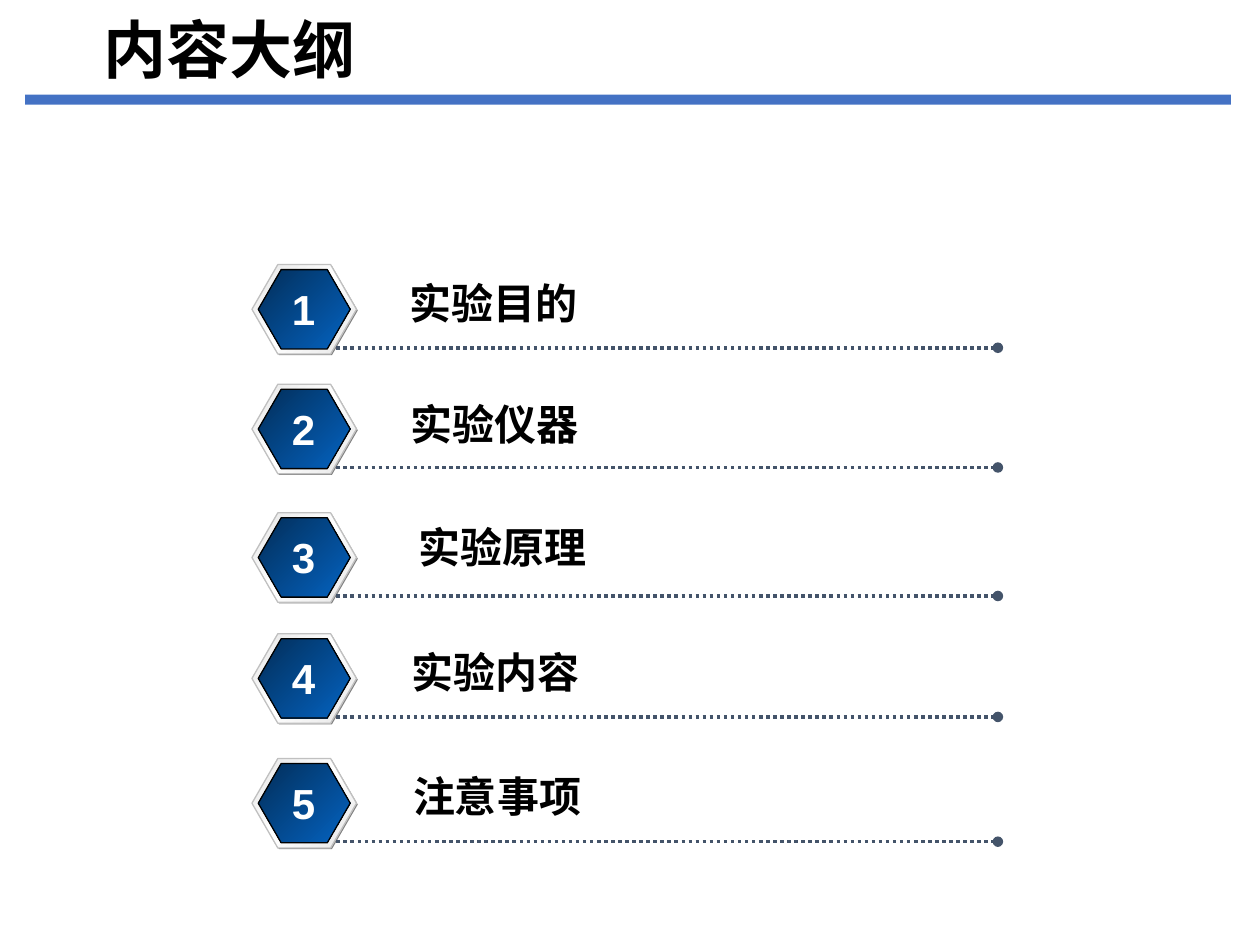
import copy

import pptx
import pptx.dml.color
import pptx.enum.dml
import pptx.enum.shapes
import pptx.enum.text
import pptx.oxml
import pptx.oxml.ns
import pptx.util

Inches = pptx.util.Inches
Pt = pptx.util.Pt
SHAPE = pptx.enum.shapes.MSO_SHAPE
ALIGN = pptx.enum.text.PP_ALIGN
qn = pptx.oxml.ns.qn

CJK_FONT = "Noto Sans CJK SC"
LATIN_FONT = "Arial"
BADGE_LEFT = 2.0

# Badge top, label, label left, label top, label font
OUTLINE = [
    (2.10, "实验目的", 3.15, 2.15, LATIN_FONT),
    (3.05, "实验仪器", 3.16, 3.11, CJK_FONT),
    (4.07, "实验原理", 3.22, 4.09, CJK_FONT),
    (5.03, "实验内容", 3.17, 5.08, LATIN_FONT),
    (6.02, "注意事项", 3.18, 6.07, LATIN_FONT),
]


def rgb(hex_colour):
    return pptx.dml.color.RGBColor.from_string(hex_colour)


def fill_shape(shape, colours):
    """Solid fill for one colour, evenly spaced diagonal gradient for more."""
    if len(colours) == 1:
        shape.fill.solid()
        shape.fill.fore_color.rgb = rgb(colours[0])
        return
    shape.fill.gradient()
    shape.fill.gradient_angle = 315
    stop_list = shape._element.spPr.find(".//" + qn("a:gsLst"))
    while len(stop_list) < len(colours):
        stop_list.append(copy.deepcopy(stop_list[0]))
    for i, (stop, colour) in enumerate(zip(shape.fill.gradient_stops, colours)):
        stop.position = i / (len(colours) - 1)
        stop.color.rgb = rgb(colour)


def add_filled(slide, preset, box, colours, outline=None):
    shape = slide.shapes.add_shape(preset, *map(Inches, box))
    shape.shadow.inherit = False
    fill_shape(shape, colours)
    if outline:
        shape.line.color.rgb = rgb(outline)
        shape.line.width = Pt(0.75)
    else:
        shape.line.fill.background()
    return shape


def write_text(frame, text, size, font, colour, align=ALIGN.LEFT, side_inset=0.1):
    frame.word_wrap = True
    frame.auto_size = pptx.enum.text.MSO_AUTO_SIZE.NONE
    frame.vertical_anchor = pptx.enum.text.MSO_ANCHOR.TOP
    frame.margin_left = frame.margin_right = Inches(side_inset)
    frame.margin_top = frame.margin_bottom = Inches(0.05)
    paragraph = frame.paragraphs[0]
    paragraph.alignment = align
    run = paragraph.add_run()
    run.text = text
    run.font.size = Pt(size)
    run.font.bold = True
    run.font.name = font
    run.font.color.rgb = rgb(colour)
    east_asian = pptx.oxml.parse_xml(
        f'<a:ea {pptx.oxml.ns.nsdecls("a")} typeface="{CJK_FONT}"/>')
    run.font._element.find(qn("a:latin")).addnext(east_asian)


def add_label(slide, box, *text_format):
    label = slide.shapes.add_textbox(*map(Inches, box))
    write_text(label.text_frame, *text_format)


def add_header(slide, left, top, width, height):
    title = slide.shapes.title
    title.left, title.top = Inches(left), Inches(top)
    title.width, title.height = Inches(width), Inches(height)
    write_text(title.text_frame, "内容大纲", 36, CJK_FONT, "000000")
    # Rule below the title
    add_filled(slide, SHAPE.RECTANGLE, (0.2, 0.75, 9.57, 0.08), ["4472C4"])


def add_dotted_line(slide, left, right, y):
    dotted = slide.shapes.add_connector(
        pptx.enum.shapes.MSO_CONNECTOR.STRAIGHT,
        Inches(left), Inches(y), Inches(right), Inches(y))
    dotted.line.color.rgb = rgb("44546A")
    dotted.line.width = Pt(2)
    dotted.line.dash_style = pptx.enum.dml.MSO_LINE.ROUND_DOT
    properties = dotted._element.spPr
    for parent, tag in ((properties.find(qn("a:ln")), 'tailEnd type="oval"'),
                        (properties, "effectLst")):
        parent.append(pptx.oxml.parse_xml(
            f'<a:{tag} {pptx.oxml.ns.nsdecls("a")}/>'))


def add_badge(slide, left, top, number):
    # Shadow, silver rim and blue face, from back to front
    layers = [
        ((left + 0.01, top + 0.01, 0.83, 0.71), ["808080"], None),
        ((left, top, 0.83, 0.71), ["E6E6E6", "FFFFFF", "E6E6E6"], "C0C0C0"),
        ((left + 0.05, top + 0.04, 0.73, 0.63), ["022E59", "0563C1"], "000000"),
    ]
    for box, colours, outline in layers:
        hexagon = add_filled(slide, SHAPE.HEXAGON, box, colours, outline)
        hexagon.adjustments[0] = 0.289
    add_dotted_line(slide, left + 0.67, left + 5.92, top + 0.66)
    add_label(slide, (left + 0.22, top + 0.1, 0.38, 0.5),
              str(number), 24, LATIN_FONT, "FFFFFF", ALIGN.CENTER, 0)


def add_outline(slide, left):
    for number, (top, text, text_left, text_top, font) in enumerate(OUTLINE, 1):
        add_badge(slide, left, top, number)
        add_label(slide, (text_left, text_top, 1.7, 0.5),
                  text, 24, font, "000000")


def main():
    deck = pptx.Presentation()
    deck.slide_width, deck.slide_height = Inches(10), Inches(7.5)
    slide = deck.slides.add_slide(deck.slide_layouts.get_by_name("Title Only"))
    add_header(slide, 0.72, 0.03, 2.6, 0.7)
    add_outline(slide, BADGE_LEFT)
    deck.save("out.pptx")


if __name__ == "__main__":
    main()
